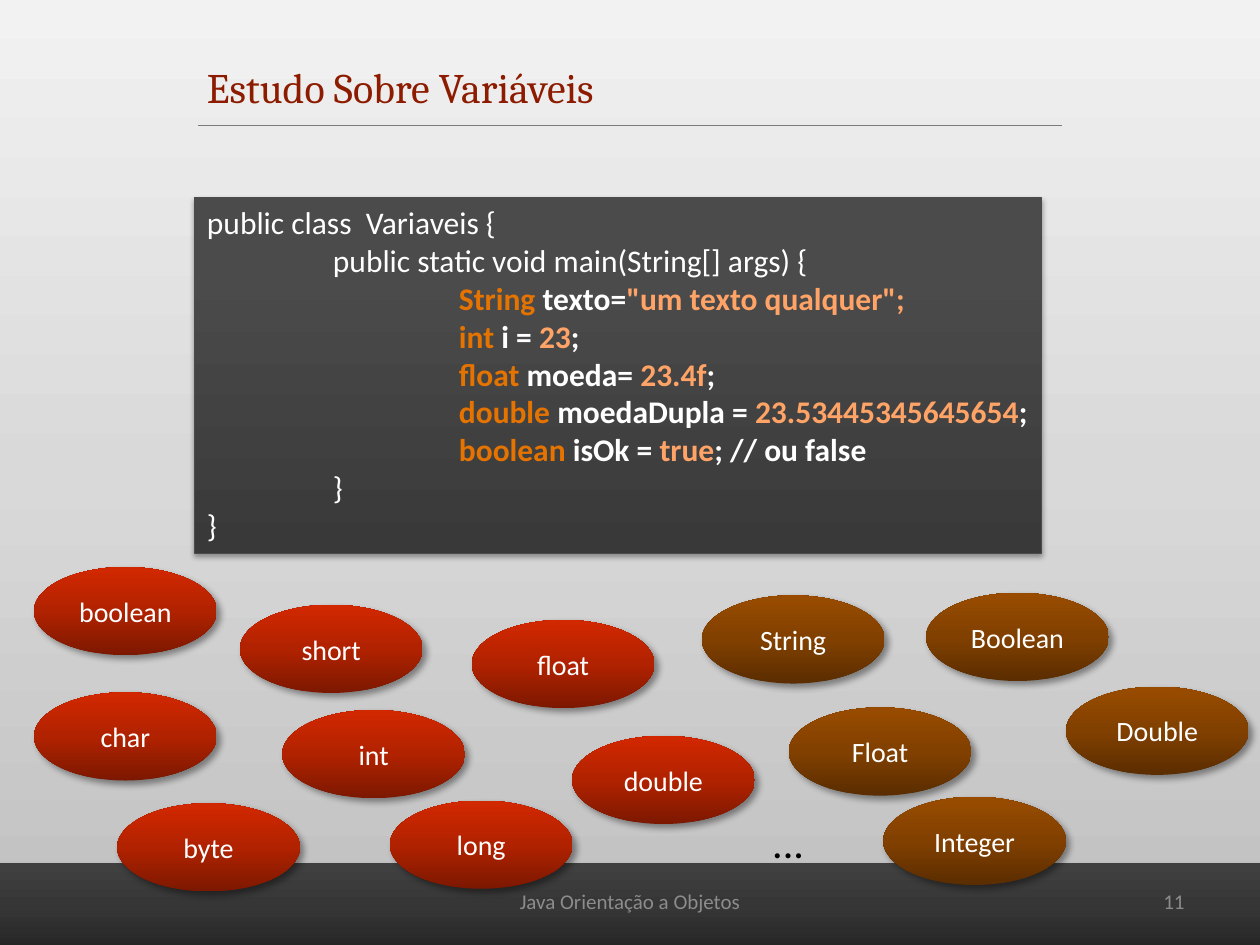
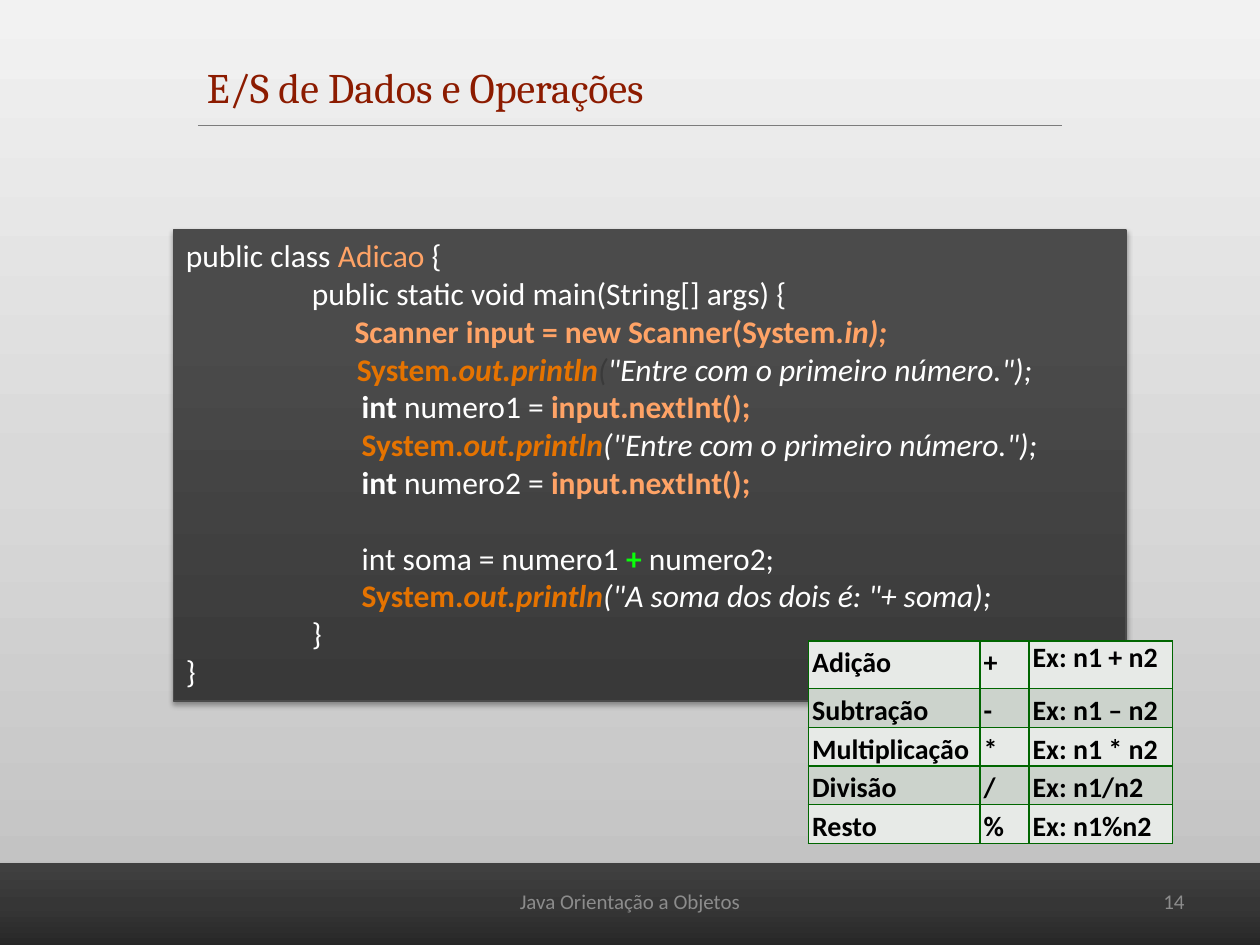
import pptx
import pptx.util
import pptx.dml.color
import pptx.enum.shapes
import pptx.enum.text
import pptx.oxml
import pptx.oxml.ns
from dataclasses import dataclass
from lxml import etree

qn = pptx.oxml.ns.qn
Pt = pptx.util.Pt
Shape = pptx.enum.shapes.MSO_SHAPE
Align = pptx.enum.text.PP_ALIGN
Anchor = pptx.enum.text.MSO_ANCHOR


@dataclass(frozen=True)
class Theme:
    head: str = "Cambria"
    body: str = "Calibri"
    big: int = 24
    code: int = 18
    label: int = 16
    small: int = 12
    title: str = "8C1B00"
    rule: str = "7C7C7C"
    edge: str = "4B4B4B"
    foot: str = "8C8C8C"
    black: str = "000000"
    white: str = "FFFFFF"
    grid: str = "006600"
    bands: tuple = ("E7EAE7", "CCD3CC")
    # Gradients: (position, colour) stops
    page: tuple = ((0, "F2F2F2"), (50, "D9D9D9"), (100, "BFBFBF"))
    strip: tuple = ((0, "262626"), (50, "363636"), (100, "404040"))
    panel: tuple = ((0, "393939"), (80, "4B4B4B"), (100, "4B4B4B"))
    red: tuple = ((0, "7C1800"), (50, "B12200"), (100, "D22800"))
    brown: tuple = ((0, "5B2D00"), (50, "814000"), (100, "994C00"))
    # Shadows: opacity, blur, distance, angle
    low: tuple = (35, 3.1, 1.8, 90)
    side: tuple = (40, 4, 3, 45)


T = Theme()

# Code styles: colour, bold, italic
INK = {
    "w": (T.white, False, False),
    "wb": (T.white, True, False),
    "wi": (T.white, False, True),
    "key": ("E57300", True, False),
    "call": ("E57300", True, True),
    "name": ("FFA366", False, False),
    "val": ("FFA366", True, False),
    "vali": ("FFA366", True, True),
    "dim": ("3A3A3A", False, True),
    "plus": ("0AFF0A", True, False),
}

# The slide is a grid of 100 columns by 75 rows
COLS, ROWS = 100, 75
WIDE, HIGH = pptx.util.Inches(10), pptx.util.Inches(7.5)


def col(n):
    return round(WIDE * n / COLS)


def row(n):
    return round(HIGH * n / ROWS)


def area(x, y, w, h):
    return col(x), row(y), col(w), row(h)


def rgb(code):
    return pptx.dml.color.RGBColor.from_string(code)


def add(node, tag, **attrs):
    return etree.SubElement(node, qn(tag), {k: str(v) for k, v in attrs.items()})


# Paint and text helpers
def blend(fill, node, stops, angle):
    fill.gradient()
    grad = node.find(".//" + qn("a:gradFill"))
    for kid in list(grad):
        grad.remove(kid)
    group = add(grad, "a:gsLst")
    for place, tone in stops:
        add(add(group, "a:gs", pos=place * 1000), "a:srgbClr", val=tone)
    add(grad, "a:lin", ang=angle * 60000, scaled=0)


def shade(shape, cast):
    clear, blur, gap, angle = cast
    shape.shadow.inherit = False
    glow = add(shape.element.find(".//" + qn("a:effectLst")), "a:outerShdw",
               blurRad=Pt(blur), dist=Pt(gap), dir=angle * 60000, rotWithShape=0)
    add(add(glow, "a:srgbClr", val=T.black), "a:alpha", val=clear * 1000)


def style(para, size, tone, face=T.body, bold=False, align=Align.LEFT):
    para.alignment = align
    font = para.font
    font.name, font.size, font.bold = face, Pt(size), bold
    font.color.rgb = rgb(tone)


def block(slide, kind, box, stops, cast, edge=None):
    shape = slide.shapes.add_shape(kind, *area(*box))
    blend(shape.fill, shape.element, stops, 270)
    shade(shape, cast)
    if edge:
        shape.line.color.rgb = rgb(edge)
        shape.line.width = Pt(0.75)
    else:
        shape.line.fill.background()
    return shape


def text(slide, box, words, size, tone, face=T.body, align=Align.LEFT,
         wrap=True, anchor=Anchor.TOP):
    frame = slide.shapes.add_textbox(*area(*box)).text_frame
    frame.word_wrap, frame.vertical_anchor = wrap, anchor
    frame.text = words
    style(frame.paragraphs[0], size, tone, face, align=align)


# Shared frame of every slide
def start(deck, title, width):
    slide = deck.slides.add_slide(deck.slide_layouts[6])
    blend(slide.background.fill, slide.element, T.page, 90)
    block(slide, Shape.RECTANGLE, (-1.2, 68.5, 102.4, 6.8), T.strip, T.low)
    line = slide.shapes.add_connector(
        pptx.enum.shapes.MSO_CONNECTOR.STRAIGHT,
        col(15.7), row(9.94), col(84.3), row(9.94))
    line.line.color.rgb = rgb(T.rule)
    line.line.width = Pt(0.75)
    add(line.element.spPr, "a:effectLst")
    text(slide, (15.44, 4.4, width, 5), title, T.big, T.title, T.head, wrap=False)
    return slide


def close(slide, page):
    for box, words, align in (
            ((71.7, 69.5, 23.3, 4), page, Align.RIGHT),
            ((34.15, 69.5, 31.7, 4), "Java Orientação a Objetos", Align.CENTER)):
        text(slide, box, words, T.small, T.foot, align=align, anchor=Anchor.MIDDLE)


# Content elements
def tabs(para, count=2, step=10):
    group = add(para._p.get_or_add_pPr(), "a:tabLst")
    for n in range(1, count + 1):
        add(group, "a:tab", pos=col(n * step), algn="l")


def code(slide, box, lines):
    frame = block(slide, Shape.RECTANGLE, box, T.panel, T.low, T.edge).text_frame
    frame.word_wrap, frame.vertical_anchor = True, Anchor.TOP
    for n, line in enumerate(lines):
        para = frame.add_paragraph() if n else frame.paragraphs[0]
        tabs(para)
        style(para, T.code, T.white)
        for ink, words in line:
            run = para.add_run()
            run.text = words
            tone, run.font.bold, run.font.italic = INK[ink]
            run.font.color.rgb = rgb(tone)


def bubble(slide, words, x, y, stops):
    shape = block(slide, Shape.OVAL, (x, y, 14.5, 7), stops, T.side)
    frame = shape.text_frame
    frame.text = words
    frame.vertical_anchor = Anchor.MIDDLE
    style(frame.paragraphs[0], T.label, T.white, align=Align.CENTER)


def border(cell):
    props = cell._tc.get_or_add_tcPr()
    for tag in ("a:lnL", "a:lnR", "a:lnT", "a:lnB"):
        line = add(props, tag, w=Pt(1))
        add(add(line, "a:solidFill"), "a:srgbClr", val=T.grid)


def table(slide, x, y, wides, highs, cells):
    box = area(x, y, sum(wides), sum(highs))
    grid = slide.shapes.add_table(len(highs), len(wides), *box).table
    grid.first_row = grid.horz_banding = False
    for n, wide in enumerate(wides):
        grid.columns[n].width = col(wide)
    for r, high in enumerate(highs):
        grid.rows[r].height = row(high)
        for c, words in enumerate(cells[r]):
            cell = grid.cell(r, c)
            cell.margin_left = cell.margin_right = col(0.3)
            cell.margin_top = cell.margin_bottom = 0
            border(cell)
            cell.fill.solid()
            cell.fill.fore_color.rgb = rgb(T.bands[r % 2])
            cell.text = words
            para = cell.text_frame.paragraphs[0]
            loose = (r, c) != (0, 2)
            style(para, T.label, T.black, bold=True,
                  align=Align.JUSTIFY if loose else Align.LEFT)
            if loose:
                para.line_spacing, para.space_after = 1.15, Pt(10)


# Slide contents
MAIN = [("w", "\tpublic static void main(String[] args) {")]
END = [("w", "}")]
PAD = "\t" + " " * 7


def declare(kind, name, value, tail=";"):
    return [("wb", "\t\t"), ("key", kind), ("wb", name), ("val", value), ("wb", tail)]


def show(words):
    return [("w", PAD), ("key", "System."), ("call", "out.println"), ("wi", words)]


def read(name):
    return [("w", PAD), ("wb", "int"), ("w", f" {name} = "), ("val", "input.nextInt();")]


VARS = [
    [("w", "public class  Variaveis {")],
    MAIN,
    declare("String", " texto=", "\"um texto qualquer\";", ""),
    declare("int", " i = ", "23"),
    declare("float", " moeda= ", "23.4f"),
    declare("double ", "moedaDupla = ", "23.53445345645654"),
    declare("boolean ", "isOk = ", "true", "; // ou false"),
    [("w", "\t}")],
    END,
]

ASK = "\"Entre com o primeiro número.\");"
SUM = [
    [("w", "public class "), ("name", "Adicao"), ("w", " {")],
    MAIN,
    [("wb", "\t      "), ("val", "Scanner input = new Scanner(System."),
     ("vali", "in);")],
    [("w", " " * 24), ("key", "System."), ("call", "out.println"),
     ("dim", "("), ("wi", ASK)],
    read("numero1"),
    show("(" + ASK),
    read("numero2"),
    [],
    [("w", PAD + "int soma = numero1 "), ("plus", "+ "), ("w", "numero2;")],
    show("(\"A soma dos dois é: \"+ soma);"),
    [("w", "\t}\t")],
    END,
]

BASIC = [("boolean", 2.7, 45), ("char", 2.7, 54.95), ("byte", 9.3, 63.75),
         ("short", 19.04, 48), ("int", 22.4, 56.35), ("long", 30.94, 63.54),
         ("float", 37.44, 49.2), ("double", 45.4, 58.4)]
CLASSY = [("String", 55.7, 47.25), ("Boolean", 73.5, 47.05), ("Float", 62.6, 56.15),
          ("Double", 84.6, 54.5), ("Integer", 70.1, 63.24)]

MATH = [("Adição", "+", "Ex: n1 + n2"),
        ("Subtração", "-", "Ex: n1 – n2"),
        ("Multiplicação", "*", "Ex: n1 * n2"),
        ("Divisão", "/", "Ex: n1/n2"),
        ("Resto", "%", "Ex: n1%n2")]


def main():
    deck = pptx.Presentation()
    deck.slide_width, deck.slide_height = WIDE, HIGH

    # Variables and their types
    slide = start(deck, "Estudo Sobre Variáveis", 36.5)
    code(slide, (15.44, 15.66, 67.2, 28.3), VARS)
    for stops, group in ((T.red, BASIC), (T.brown, CLASSY)):
        for words, x, y in group:
            bubble(slide, words, x, y, stops)
    text(slide, (60.3, 64.3, 4.5, 5), "...", T.big, T.black, wrap=False)
    close(slide, "11")

    # Input, output and operators
    slide = start(deck, "E/S de Dados e Operações", 41.1)
    code(slide, (13.77, 18.25, 75.6, 37.4), SUM)
    table(slide, 64.16, 50.86, (13.6, 3.9, 11.4), (3.8,) + (2.9,) * 4, MATH)
    close(slide, "14")

    deck.save("out.pptx")


if __name__ == "__main__":
    main()
